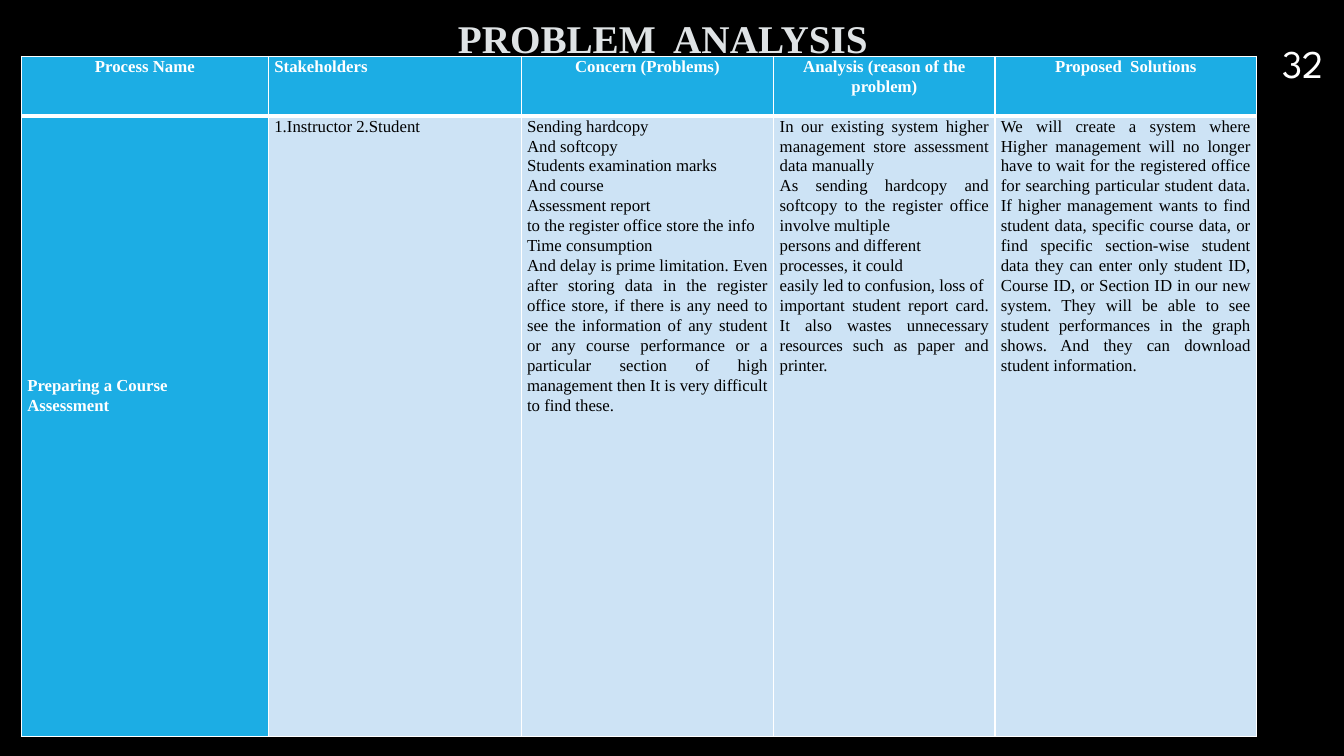
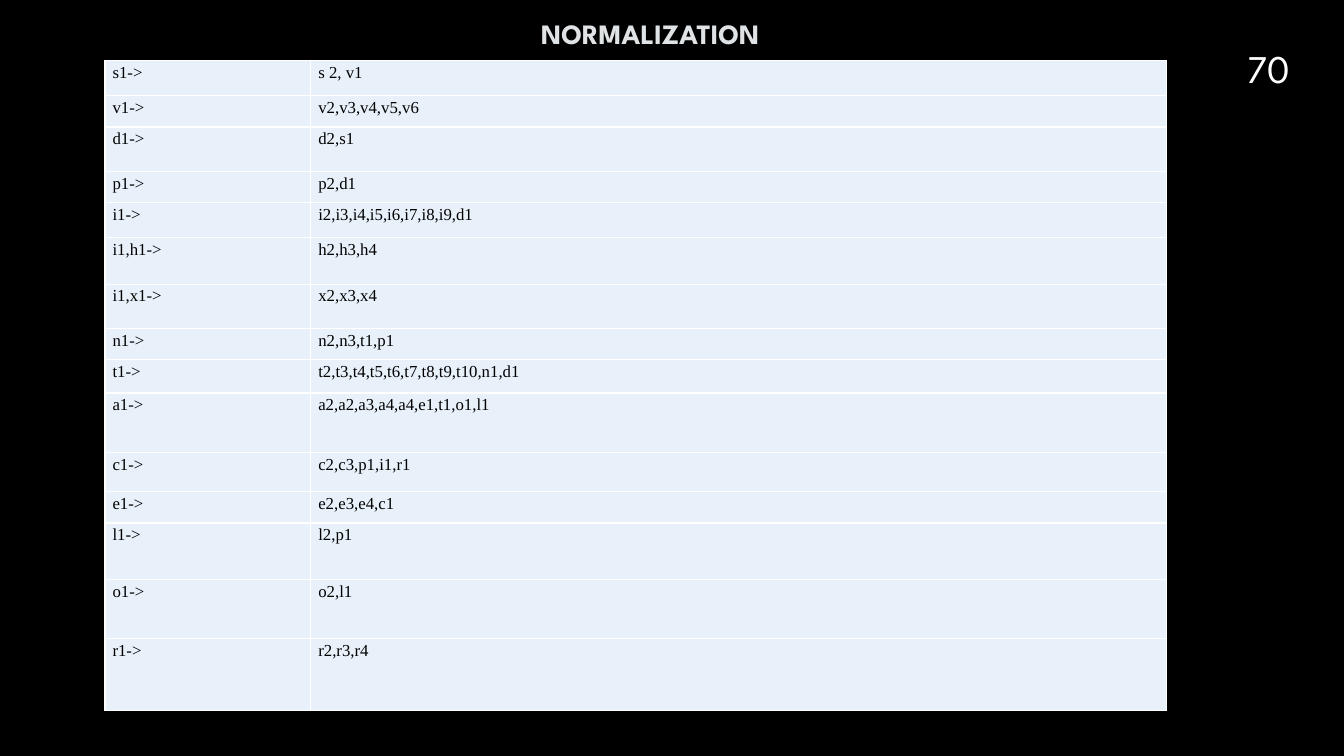
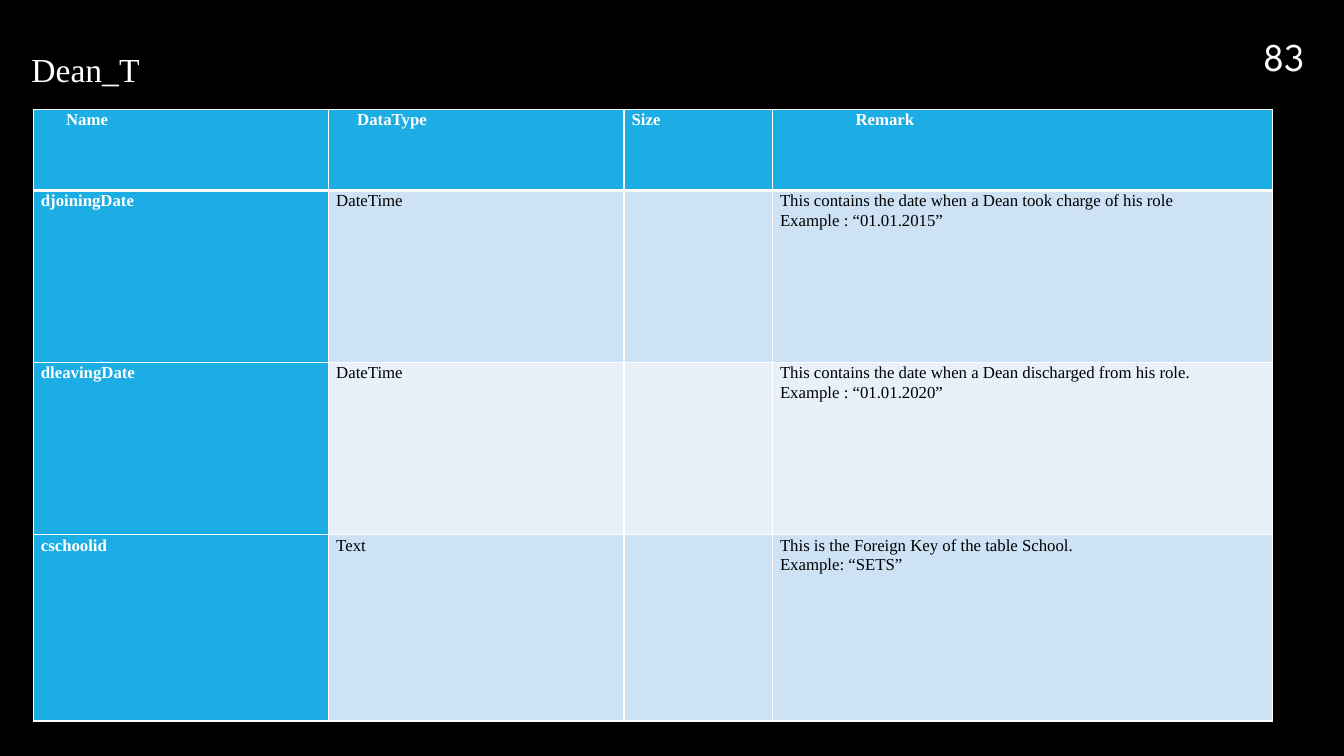
from lxml.etree import SubElement
from pptx import Presentation
from pptx.dml.color import RGBColor
from pptx.enum.text import MSO_ANCHOR, PP_ALIGN
from pptx.oxml.ns import qn
from pptx.util import Pt

# Shared look
BLACK, WHITE, TITLE_GREY = "000000", "FFFFFF", "DFE3E5"
HEADER_BLUE, BAND_DARK, BAND_LIGHT = "1CADE4", "CDE3F5", "E8F1FA"
SERIF, DISPLAY = "Times New Roman", "League Spartan"
LEFT, CENTER, JUSTIFY = PP_ALIGN.LEFT, PP_ALIGN.CENTER, PP_ALIGN.JUSTIFY


def color(hex_code):
    return RGBColor.from_string(hex_code)


def write(frame, text, size=12, font=SERIF, ink=BLACK, bold=False,
          align=LEFT, spacing=1.0, indent=0):
    """Fill a text frame, one paragraph per line of text."""
    for number, line in enumerate(text.split("\n")):
        paragraph = frame.add_paragraph() if number else frame.paragraphs[0]
        if indent:
            paragraph._p.get_or_add_pPr().set("marL", str(Pt(indent)))
        paragraph.alignment = align
        paragraph.line_spacing = spacing
        run = paragraph.add_run()
        run.text = line
        run.font.size = Pt(size)
        run.font.name = font
        run.font.bold = bold
        run.font.color.rgb = color(ink)


def add_label(slide, box, text, anchor=MSO_ANCHOR.TOP, wrap=True, **style):
    frame = slide.shapes.add_textbox(*map(Pt, box)).text_frame
    frame.word_wrap = wrap
    frame.vertical_anchor = anchor
    write(frame, text, **style)


def add_title(slide, box, text, **style):
    add_label(slide, box, text, ink=TITLE_GREY, bold=True, **style)


def add_page_number(slide, left, top, number):
    add_label(slide, (left, top, 58, 60.5), number, MSO_ANCHOR.BOTTOM,
              size=28, font=DISPLAY, ink=WHITE, align=CENTER)


def start_slide(deck):
    slide = deck.slides.add_slide(deck.slide_layouts[6])
    slide.background.fill.solid()
    slide.background.fill.fore_color.rgb = color(BLACK)
    return slide


# Tables
def add_grid(slide, left, top, widths, heights):
    table = slide.shapes.add_table(
        len(heights), len(widths), Pt(left), Pt(top),
        Pt(sum(widths)), Pt(sum(heights))).table
    table.first_row = table.horz_banding = False
    for column, width in zip(table.columns, widths):
        column.width = Pt(width)
    for row, height in zip(table.rows, heights):
        row.height = Pt(height)
    return table


def add_borders(cell, bottom):
    properties = cell._tc.get_or_add_tcPr()
    for place, (side, width) in enumerate(
            (("lnL", 1), ("lnR", 1), ("lnT", 1), ("lnB", bottom))):
        line = SubElement(properties, qn(f"a:{side}"), w=str(Pt(width)))
        SubElement(SubElement(line, qn("a:solidFill")), qn("a:srgbClr"), val=WHITE)
        properties.insert(place, line)


def fill_cell(cell, text, fill, inset, top_inset=0, bottom=1, **style):
    cell.margin_left = cell.margin_right = Pt(inset)
    cell.margin_top, cell.margin_bottom = Pt(top_inset), 0
    cell.fill.solid()
    cell.fill.fore_color.rgb = color(fill)
    add_borders(cell, bottom)
    if text:
        write(cell.text_frame, text, **style)


def fill_heading(cell, text, inset, **style):
    fill_cell(cell, text, HEADER_BLUE, inset, ink=WHITE, bold=True,
              spacing=1.07, **style)


# Problem analysis
CONCERNS = [
    ("Process Name", CENTER, "Preparing a Course\nAssessment"),
    ("Stakeholders", LEFT, "1.Instructor 2.Student"),
    ("Concern (Problems)", CENTER,
     "Sending hardcopy\nAnd softcopy\nStudents examination marks\nAnd course\n"
     "Assessment report\nto the register office store the info\nTime consumption\n"
     "And delay is prime limitation. Even after storing data in the register "
     "office store, if there is any need to see the information of any student "
     "or any course performance or a particular section of high management then "
     "It is very difficult to find these."),
    ("Analysis (reason of the problem)", CENTER,
     "In our existing system higher management store assessment data manually\n"
     "As sending hardcopy and softcopy to the register office involve multiple\n"
     "persons and different\nprocesses, it could\neasily led to confusion, loss of\n"
     "important student report card. It also wastes unnecessary resources such "
     "as paper and printer."),
    ("Proposed  Solutions", CENTER,
     "We will create a system where Higher management will no longer have to "
     "wait for the registered office for searching particular student data. If "
     "higher management wants to find student data, specific course data, or "
     "find specific section-wise student data they can enter only student ID, "
     "Course ID, or Section ID in our new system. They will be able to see "
     "student performances in the graph shows. And they can download student "
     "information."),
]


def fill_problem_analysis(slide):
    add_page_number(slide, 902, 5, "32")
    table = add_grid(slide, 15.3, 40.3, [176.5, 180.5, 180.5, 158, 187], [42.5, 443])
    inset = 4.2
    for column, (heading, align, body) in enumerate(CONCERNS):
        fill_heading(table.cell(0, column), heading, inset, bottom=3, align=align)
        cell = table.cell(1, column)
        if column == 0:
            fill_heading(cell, body, inset, top_inset=185, align=JUSTIFY)
        else:
            fill_cell(cell, body, BAND_DARK, inset, align=JUSTIFY, spacing=1.07)
    add_title(slide, (320, 7, 326, 33), "PROBLEM  ANALYSIS", size=28)


# Normalization
DEPENDENCIES = [
    ("s1->", "s 2, v1", 25.2),
    ("v1->", "v2,v3,v4,v5,v6", 22.3),
    ("d1->", "d2,s1", 31.7),
    ("p1->", "p2,d1", 22.3),
    ("i1->", "i2,i3,i4,i5,i6,i7,i8,i9,d1", 25.2),
    ("i1,h1->", "h2,h3,h4", 33.1),
    ("i1,x1->", "x2,x3,x4", 31.7),
    ("n1->", "n2,n3,t1,p1", 22.3),
    ("t1->", "t2,t3,t4,t5,t6,t7,t8,t9,t10,n1,d1", 23.8),
    ("a1->", "a2,a2,a3,a4,a4,e1,t1,o1,l1", 42.5),
    ("c1->", "c2,c3,p1,i1,r1", 28.1),
    ("e1->", "e2,e3,e4,c1", 22.3),
    ("l1->", "l2,p1", 40.3),
    ("o1->", "o2,l1", 42.5),
    ("r1->", "r2,r3,r4", 51.1),
]


def fill_normalization(slide):
    add_page_number(slide, 877.5, 8.6, "70")
    heights = [height for _, _, height in DEPENDENCIES]
    table = add_grid(slide, 75, 43.2, [147, 611], heights)
    for row, (*pair, _) in enumerate(DEPENDENCIES):
        for column, attributes in enumerate(pair):
            fill_cell(table.cell(row, column), attributes, BAND_LIGHT, 5.4,
                      spacing=1.15)
    add_title(slide, (227.5, 8, 371, 30), "NORMALIZATION", size=20,
              font=DISPLAY, indent=152)


# Dean table
DEAN_HEADINGS = [("Name", 18), ("DataType", 15), ("Size", 0), ("Remark", 54)]
DEAN_FIELDS = [
    ("djoiningDate", "DateTime", "",
     "This contains the date when a Dean took charge of his role\n"
     "Example : “01.01.2015”"),
    ("dleavingDate", "DateTime", "",
     "This contains the date when a Dean discharged from his role.\n"
     "Example : “01.01.2020”"),
    ("cschoolid", "Text", "",
     "This is the Foreign Key of the table School.\nExample: “SETS”"),
]


def fill_dean_table(slide):
    add_page_number(slide, 888.3, 0, "83")
    add_label(slide, (15.3, 29.5, 93, 36), "Dean_T", wrap=False, size=24,
              ink=WHITE, spacing=1.07)
    table = add_grid(slide, 23.8, 78, [211, 211, 106, 357], [58, 123, 123, 133])
    inset = 5.4
    for column, (heading, indent) in enumerate(DEAN_HEADINGS):
        fill_heading(table.cell(0, column), heading, inset, bottom=3, indent=indent)
    for row, (name, *details) in enumerate(DEAN_FIELDS, 1):
        fill_heading(table.cell(row, 0), name, inset)
        band = BAND_DARK if row % 2 else BAND_LIGHT
        for column, detail in enumerate(details, 1):
            fill_cell(table.cell(row, column), detail, band, inset, spacing=1.07)


def main():
    deck = Presentation()
    deck.slide_width, deck.slide_height = Pt(960), Pt(540)
    for fill_slide in (fill_problem_analysis, fill_normalization, fill_dean_table):
        fill_slide(start_slide(deck))
    deck.save("out.pptx")


if __name__ == "__main__":
    main()
